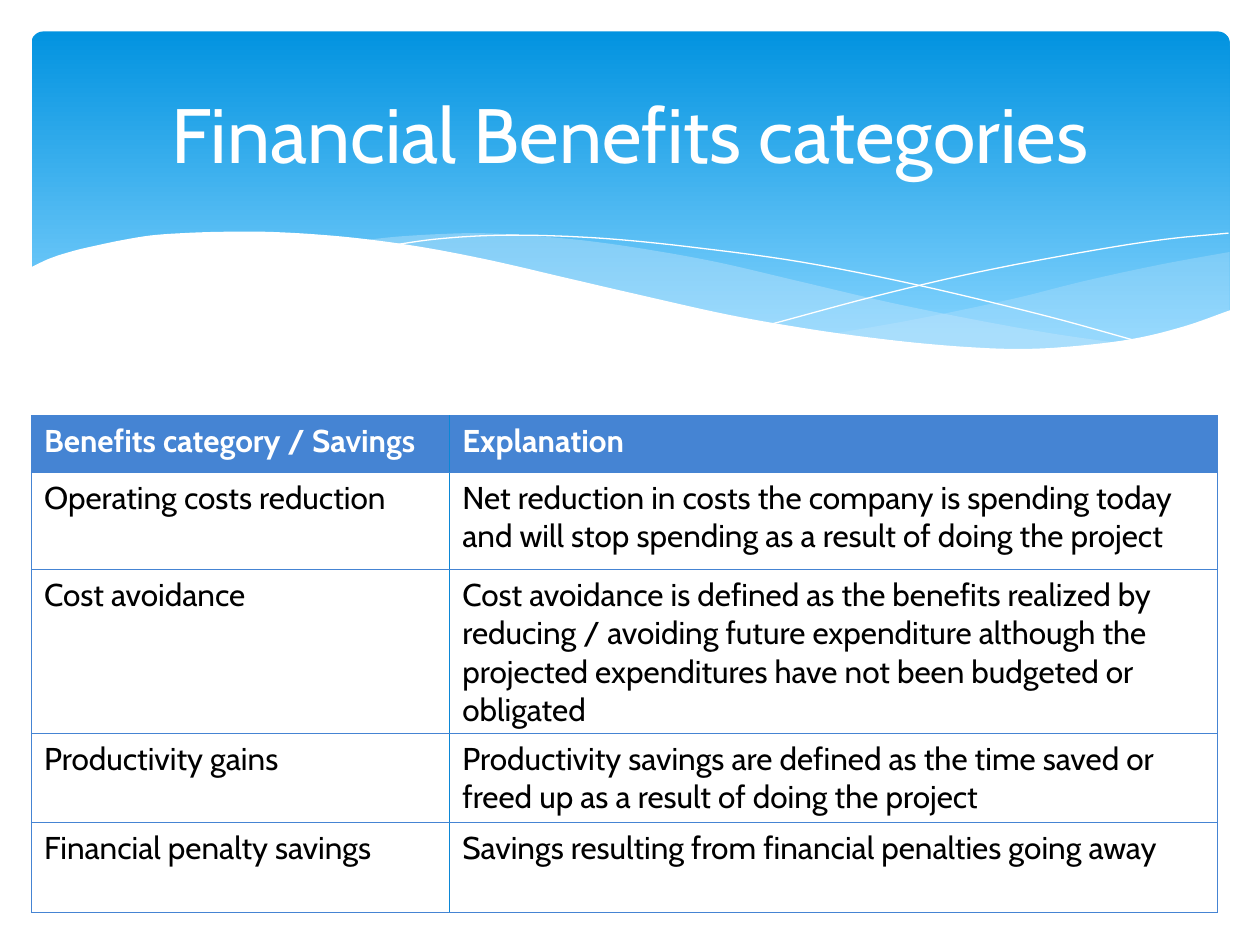
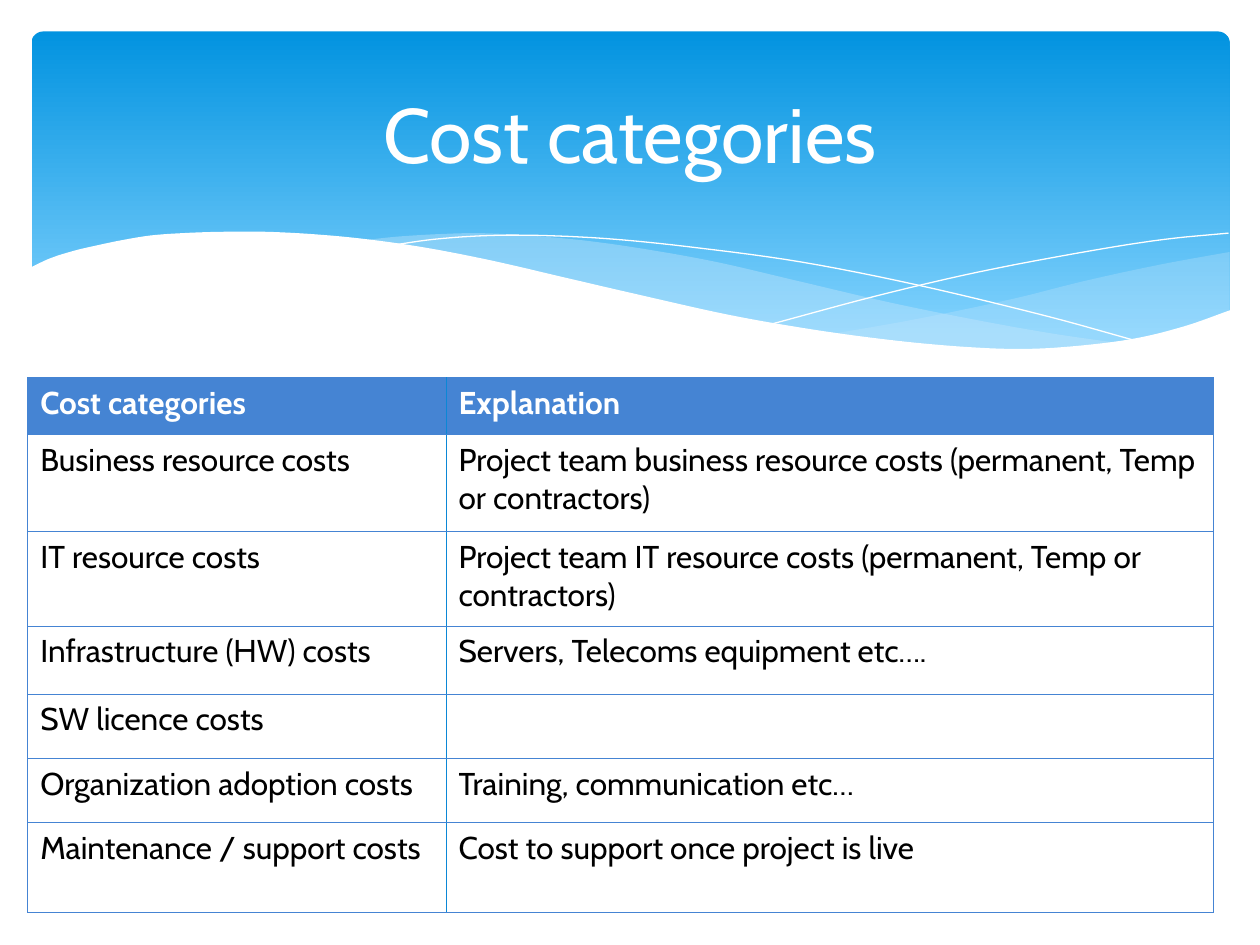
from dataclasses import dataclass
from typing import NamedTuple

from lxml.etree import SubElement
from pptx import Presentation
from pptx.dml.color import RGBColor
from pptx.enum.shapes import MSO_SHAPE
from pptx.enum.text import MSO_ANCHOR, PP_ALIGN
from pptx.oxml import parse_xml
from pptx.oxml.ns import nsdecls, qn
from pptx.util import Emu, Inches, Pt

# Slide grid: 100 columns by 75 rows
WIDTH, HEIGHT = Inches(10), Inches(7.5)
COLUMN, ROW = WIDTH / 100, HEIGHT / 75

FONT = "Cabin"
WHITE, BLACK = "FFFFFF", "000000"
SKY_TOP, SKY_BOTTOM, MIST = "0293E0", "83D3FE", "C6E7FC"
HEADER_BLUE, DIVIDER_BLUE = "4584D3", "0B87D6"

COLUMN_SPANS = (33.2, 60.9)
CURVE_STEPS = 6


class Knot(NamedTuple):
    col: float
    row: float


class Border(NamedTuple):
    color: str
    points: float


OUTER = Border(HEADER_BLUE, 0.75)
DIVIDER = Border(DIVIDER_BLUE, 0.5)


@dataclass
class Wave:
    """Smooth edges joined end to end; filled when closed, a thin line when not."""
    edges: list
    color: str = WHITE
    opacity: int = 100
    closed: bool = True


@dataclass
class CategorySlide:
    title: str
    left: float
    top: float
    row_spans: list
    entries: list


def knots(*pairs: tuple) -> list:
    return [Knot(*pair) for pair in pairs]


# Header waves, from back to front
WAVES = [
    Wave([knots((66.1, 26.5), (72.9, 25.3), (80.5, 23.7), (86.1, 22.3), (92.1, 21), (97.6, 20)),
          knots((97.6, 24.7), (94.2, 25.9), (90.5, 26.9), (86.3, 27.5), (81.4, 27.8),
                (76.9, 27.7), (71.9, 27.1), (66.1, 26.5))], MIST, 29),
    Wave([knots((89.3, 27.3), (83.7, 26.5), (77.5, 25.4), (70.6, 24), (62.9, 22.2),
                (56.9, 20.8), (51.4, 19.8), (46.5, 19.1), (42, 18.7), (38, 18.5),
                (34.4, 18.6), (31.3, 18.8), (28.6, 19.1)),
          knots((28.6, 19.1), (34.2, 19.9), (40.4, 21.1), (44.9, 22.2), (53, 24),
                (60.1, 25.5), (66.5, 26.6), (72.2, 27.4), (77.3, 27.7), (81.8, 27.8),
                (85.7, 27.6), (89.3, 27.3))], MIST, 40),
    Wave([knots((30.9, 19.5), (34.4, 19), (38.7, 18.7), (43.3, 18.7), (48.9, 19),
                (55.6, 19.7), (63.6, 20.8), (72.7, 22.6), (83.1, 25.1), (90.7, 27.2))],
         closed=False),
    Wave([knots((61.3, 25.7), (69.5, 23.5), (77.6, 21.6), (86.6, 19.9), (92.4, 19),
                (97.5, 18.5))], closed=False),
    Wave([knots((97.7, 24.6), (94, 25.9), (89.9, 26.9), (85, 27.5), (80.9, 27.7),
                (76.1, 27.5), (70.8, 27), (64.8, 26.2), (57.9, 25), (50.3, 23.3),
                (44.7, 22), (39.1, 20.7), (34, 19.7), (29.2, 19), (25, 18.6),
                (21.1, 18.4), (17.7, 18.4), (14.6, 18.5), (11.9, 18.7), (9.5, 19.1),
                (7.6, 19.5), (5.9, 19.9), (4, 20.5), (2.3, 21.3)),
          knots((2.3, 32.9), (97.7, 32.9))]),
]

SLIDES = [
    CategorySlide(
        "Financial Benefits categories", 2.5, 33, [4.5, 7.7, 12, 7.1, 7.1],
        [("Benefits category / Savings", "Explanation"),
         ("Operating costs reduction",
          "Net reduction in costs the company is spending today and will stop spending "
          "as a result of doing the project"),
         ("Cost avoidance",
          "Cost avoidance is defined as the benefits realized by reducing / avoiding future "
          "expenditure although the projected expenditures have not been budgeted or obligated"),
         ("Productivity gains",
          "Productivity savings are defined as the time saved or freed up as a result of "
          "doing the project"),
         ("Financial penalty savings",
          "Savings resulting from financial penalties going away")]),
    CategorySlide(
        "Cost categories", 2.2, 30, [4.5, 7.7, 7.5, 5.4, 5.1, 5.1, 7.1],
        [("Cost categories", "Explanation"),
         ("Business resource costs",
          "Project team business resource costs (permanent, Temp or contractors)"),
         ("IT resource costs",
          "Project team IT resource costs (permanent, Temp or contractors)"),
         ("Infrastructure (HW) costs", "Servers, Telecoms equipment etc…."),
         ("SW licence costs", ""),
         ("Organization adoption costs", "Training, communication etc…"),
         ("Maintenance / support costs", "Cost to support once project is live")]),
]


def rgb(color: str) -> RGBColor:
    return RGBColor.from_string(color)


def across(cols: float) -> Emu:
    return Emu(round(cols * COLUMN))


def down(rows: float) -> Emu:
    return Emu(round(rows * ROW))


def grid_box(left: float, top: float, width: float, height: float) -> tuple:
    return across(left), down(top), across(width), down(height)


def smooth_edge(edge: list) -> list:
    """Points on a cubic Hermite curve through the knots."""
    last = len(edge) - 1
    slopes = []
    for i in range(last + 1):
        before, after = edge[max(i - 1, 0)], edge[min(i + 1, last)]
        slopes.append((after.row - before.row) / (after.col - before.col))
    points = [edge[0]]
    for i, (a, b) in enumerate(zip(edge, edge[1:])):
        span = b.col - a.col
        for step in range(1, CURVE_STEPS + 1):
            t = step / CURVE_STEPS
            blend = t * t * (3 - 2 * t)
            bend = t * (1 - t) * ((1 - t) * slopes[i] - t * slopes[i + 1])
            points.append(Knot(a.col + t * span,
                               a.row + blend * (b.row - a.row) + span * bend))
    return points


def draw_wave(slide, wave: Wave) -> None:
    points = [(across(p.col), down(p.row)) for edge in wave.edges for p in smooth_edge(edge)]
    builder = slide.shapes.build_freeform(*points[0], scale=1.0)
    builder.add_line_segments(points[1:], close=wave.closed)
    ribbon = builder.convert_to_shape()
    ribbon.shadow.inherit = False
    if not wave.closed:
        ribbon.fill.background()
        ribbon.line.color.rgb = rgb(wave.color)
        ribbon.line.width = Pt(0)
        return
    ribbon.line.fill.background()
    ribbon.fill.solid()
    ribbon.fill.fore_color.rgb = rgb(wave.color)
    if wave.opacity < 100:
        tint = ribbon.fill._xPr.find(qn("a:solidFill"))[0]
        SubElement(tint, qn("a:alpha"), val=str(wave.opacity * 1000))


def draw_header(slide) -> None:
    sky = slide.shapes.add_shape(MSO_SHAPE.ROUNDED_RECTANGLE, *grid_box(2.5, 2.5, 95.1, 27))
    sky.adjustments[0] = 0.034
    sky.shadow.inherit = False
    sky.line.fill.background()
    sky.fill.gradient()
    sky.fill.gradient_angle = 270
    for stop, position, color in zip(sky.fill.gradient_stops, (0, 0.9), (SKY_TOP, SKY_BOTTOM)):
        stop.position = position
        stop.color.rgb = rgb(color)
    for wave in WAVES:
        draw_wave(slide, wave)


def add_text(paragraph, text: str, size: int, color: str, bold: bool = False) -> None:
    run = paragraph.add_run()
    run.text = text
    run.font.name, run.font.size, run.font.bold = FONT, Pt(size), bold
    run.font.color.rgb = rgb(color)


def draw_title(slide, title: str) -> None:
    heading = slide.shapes.add_textbox(*grid_box(5, 3.7, 90, 13.7)).text_frame
    heading.word_wrap = True
    heading.vertical_anchor = MSO_ANCHOR.MIDDLE
    heading.paragraphs[0].alignment = PP_ALIGN.CENTER
    add_text(heading.paragraphs[0], title, 44, WHITE)


def set_borders(cell, **borders: Border) -> None:
    properties = cell._tc.get_or_add_tcPr()
    for position, (side, border) in enumerate(borders.items()):
        properties.insert(position, parse_xml(
            f'<a:ln{side} {nsdecls("a")} w="{Pt(border.points)}"><a:solidFill>'
            f'<a:srgbClr val="{border.color}"/></a:solidFill></a:ln{side}>'))


def draw_categories(slide, content: CategorySlide) -> None:
    frame = slide.shapes.add_table(
        len(content.entries), len(COLUMN_SPANS),
        *grid_box(content.left, content.top, sum(COLUMN_SPANS), sum(content.row_spans)))
    categories = frame.table
    categories.first_row = categories.horz_banding = False
    for column, span in zip(categories.columns, COLUMN_SPANS):
        column.width = across(span)
    for row, span in zip(categories.rows, content.row_spans):
        row.height = down(span)
    for r, entry in enumerate(content.entries):
        is_header = r == 0
        for c, text in enumerate(entry):
            cell = categories.cell(r, c)
            if is_header:
                cell.fill.solid()
                cell.fill.fore_color.rgb = rgb(HEADER_BLUE)
            else:
                cell.fill.background()
            set_borders(cell, L=DIVIDER if c else OUTER, R=OUTER if c else DIVIDER,
                        T=OUTER, B=OUTER)
            if text:
                add_text(cell.text_frame.paragraphs[0], text, 18,
                         WHITE if is_header else BLACK, is_header)


def main() -> None:
    deck = Presentation()
    deck.slide_width, deck.slide_height = WIDTH, HEIGHT
    for content in SLIDES:
        slide = deck.slides.add_slide(deck.slide_layouts[6])
        draw_header(slide)
        draw_title(slide, content.title)
        draw_categories(slide, content)
    deck.save("out.pptx")


if __name__ == "__main__":
    main()
